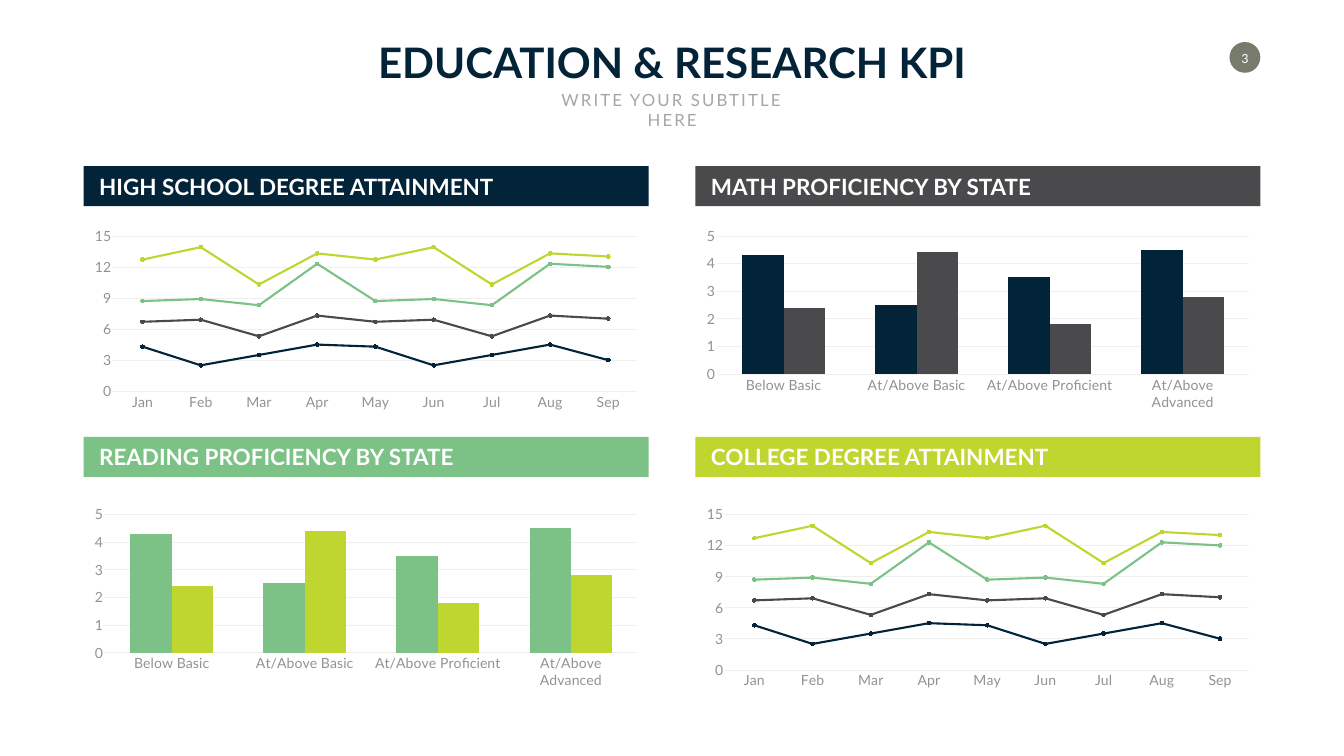
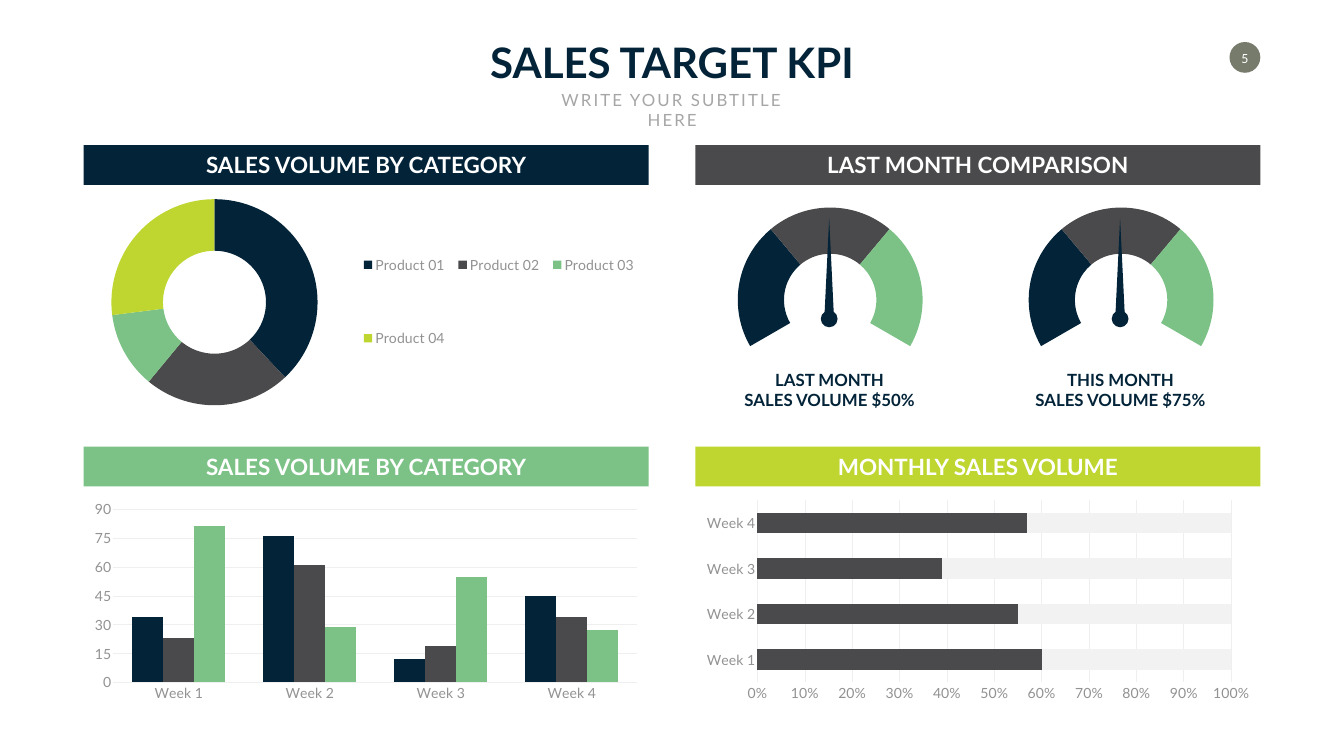
from dataclasses import dataclass

from lxml.etree import SubElement
from pptx import Presentation
from pptx.chart.data import CategoryChartData
from pptx.dml.color import RGBColor
from pptx.enum.chart import (XL_CHART_TYPE, XL_LEGEND_POSITION,
                             XL_MARKER_STYLE, XL_TICK_MARK)
from pptx.enum.shapes import MSO_SHAPE
from pptx.enum.text import MSO_ANCHOR, MSO_AUTO_SIZE, PP_ALIGN
from pptx.oxml.ns import qn
from pptx.util import Pt


@dataclass(frozen=True)
class Theme:
    navy: str = "022338"
    gray: str = "4A4A4C"
    green: str = "7CC287"
    lime: str = "BED62F"
    badge: str = "767B6C"
    white: str = "FFFFFF"
    subtitle: str = "A6A6A6"
    axis_text: str = "929294"
    grid: str = "EFEFEF"
    track: str = "F2F2F2"
    font: str = "Lato"
    number_font: str = "Calibri"
    title_size: int = 60
    band_size: int = 32
    body_size: int = 24
    small_size: int = 20

    @property
    def accents(self):
        return self.navy, self.gray, self.green, self.lime


# Grid, in points
WIDTH, HEIGHT = 1919.5, 1080
COLUMNS = (119.5, 993.25)
PANEL_W, BAND_H, LABEL_H = 807, 57, 46


def rgb(color):
    return RGBColor.from_string(color)


def paint(fill, color):
    """Fill with a colour, or leave clear when there is none."""
    if color:
        fill.solid()
        fill.fore_color.rgb = rgb(color)
    else:
        fill.background()


def set_layout(parent, index, x, y, w, h, inner=False):
    """Give a chart's plot area or legend a fixed place, as fractions."""
    for old in parent.findall(qn("c:layout")):
        parent.remove(old)
    layout = SubElement(parent, qn("c:layout"))
    parent.insert(index, layout)
    manual = SubElement(layout, qn("c:manualLayout"))
    settings = [("layoutTarget", "inner")] if inner else []
    settings += [("xMode", "edge"), ("yMode", "edge"),
                 ("x", x), ("y", y), ("w", w), ("h", h)]
    for tag, value in settings:
        SubElement(manual, qn(f"c:{tag}")).set("val", str(value))


class Deck:
    def __init__(self, theme):
        self.theme = theme
        self.prs = Presentation()
        self.prs.slide_width, self.prs.slide_height = Pt(WIDTH), Pt(HEIGHT)
        self.s = None

    # Basic elements
    def text(self, text, x, y, w, h, *, size, color, font=None, bold=False,
             align=PP_ALIGN.CENTER, anchor=MSO_ANCHOR.TOP, wrap=False,
             spacing=None, margin=None):
        tf = self.s.shapes.add_textbox(Pt(x), Pt(y), Pt(w), Pt(h)).text_frame
        tf.word_wrap = wrap
        tf.auto_size = MSO_AUTO_SIZE.SHAPE_TO_FIT_TEXT
        tf.vertical_anchor = anchor
        if margin is not None:
            tf.margin_left = tf.margin_right = Pt(margin)
            tf.margin_top = tf.margin_bottom = Pt(margin)
        for i, line in enumerate(text.split("\n")):
            p = tf.paragraphs[0] if i == 0 else tf.add_paragraph()
            p.alignment = align
            r = p.add_run()
            r.text = line
            r.font.name = font or self.theme.font
            r.font.size = Pt(size)
            r.font.bold = bold
            r.font.color.rgb = rgb(color)
            if spacing:
                r.font._element.set("spc", str(spacing * 100))

    def shape(self, kind, x, y, w, h, color, parent=None):
        shapes = (parent or self.s).shapes
        sp = shapes.add_shape(kind, Pt(x), Pt(y), Pt(w), Pt(h))
        sp.shadow.inherit = False
        paint(sp.fill, color)
        sp.line.fill.background()

    # Slide frame: title, subtitle, number badge
    def slide(self, title, title_w, number):
        t = self.theme
        self.s = self.prs.slides.add_slide(self.prs.slide_layouts[6])
        self.shape(MSO_SHAPE.OVAL, 1756, 60, 44, 44, t.badge)
        self.text(number, 1763.25, 70, 29.5, 24.5, size=t.small_size,
                  color=t.white, font=t.number_font,
                  anchor=MSO_ANCHOR.MIDDLE, margin=0)
        self.text(title, (WIDTH - title_w) / 2, 48, title_w, 80,
                  size=t.title_size, color=t.navy, bold=True)
        self.text("WRITE YOUR SUBTITLE HERE", 764.5, 124, 391, 36,
                  size=t.body_size, color=t.subtitle, wrap=True, spacing=3)

    def bands(self, tops, labels, align):
        """Four coloured headings, row by row; labels are (text, width)."""
        t = self.theme
        for i, (label, w) in enumerate(labels):
            x, y = COLUMNS[i % 2], tops[i // 2]
            self.shape(MSO_SHAPE.RECTANGLE, x, y, PANEL_W, BAND_H,
                       t.accents[i])
            inset = 15 if align == PP_ALIGN.LEFT else (PANEL_W - w) / 2
            self.text(label, x + inset, y + (BAND_H - LABEL_H) / 2, w,
                      LABEL_H, size=t.band_size, color=t.white, bold=True,
                      align=align, anchor=MSO_ANCHOR.MIDDLE)

    # Charts
    def chart(self, kind, x, y, w, h, cats, rows):
        t = self.theme
        data = CategoryChartData()
        data.categories = cats
        for i, values in enumerate(rows, 1):
            data.add_series(f"Series {i}", values)
        chart = self.s.shapes.add_chart(kind, Pt(x), Pt(y), Pt(w), Pt(h),
                                        data).chart
        chart.has_title = chart.has_legend = False
        chart.font.name = t.font
        chart.font.size = Pt(t.small_size)
        chart.font.color.rgb = rgb(t.axis_text)
        return chart

    def axis_chart(self, kind, x, y, h, cats, rows, colors, major=None):
        t = self.theme
        chart = self.chart(kind, x, y, PANEL_W, h, cats, rows)
        cat, val = chart.category_axis, chart.value_axis
        for axis in (cat, val):
            axis.major_tick_mark = axis.minor_tick_mark = XL_TICK_MARK.NONE
            axis.tick_labels.font.name = t.font
            axis.tick_labels.font.size = Pt(t.small_size)
            axis.tick_labels.font.color.rgb = rgb(t.axis_text)
        cat.has_major_gridlines = False
        val.has_major_gridlines = True
        for line in (cat.format.line, val.major_gridlines.format.line):
            line.color.rgb = rgb(t.grid)
            line.width = Pt(0.75)
        val.format.line.fill.background()
        if major:
            val.major_unit = major
        for series, color in zip(chart.plots[0].series, colors):
            self.style_series(series, color,
                              kind == XL_CHART_TYPE.LINE_MARKERS_STACKED)
        chart.plots[0].vary_by_categories = False
        return chart

    def style_series(self, series, color, is_line):
        if not is_line:
            paint(series.format.fill, color)
            return
        series.smooth = False
        series.format.line.color.rgb = rgb(color)
        series.format.line.width = Pt(3)
        series.marker.style = XL_MARKER_STYLE.CIRCLE
        series.marker.size = 5
        paint(series.marker.format.fill, color)
        series.marker.format.line.color.rgb = rgb(color)

    def lines(self, *args):
        self.axis_chart(XL_CHART_TYPE.LINE_MARKERS_STACKED, *args,
                        self.theme.accents, major=3)

    def columns(self, *args, major=None):
        chart = self.axis_chart(XL_CHART_TYPE.COLUMN_CLUSTERED, *args,
                                major=major)
        chart.plots[0].gap_width = 122

    def shares(self, *args):
        chart = self.axis_chart(XL_CHART_TYPE.BAR_STACKED_100, *args)
        chart.plots[0].gap_width, chart.plots[0].overlap = 122, 100
        labels = chart.value_axis.tick_labels
        labels.number_format, labels.number_format_is_linked = "0%", False

    def doughnut(self, x, y, w, h, cats, values, colors, plot, start=0):
        chart = self.chart(XL_CHART_TYPE.DOUGHNUT, x, y, w, h, cats, [values])
        area = chart._chartSpace.chart.plotArea
        set_layout(area, 0, *plot, inner=True)
        area.find(".//" + qn("c:firstSliceAng")).set("val", str(start))
        area.find(".//" + qn("c:holeSize")).set("val", "50")
        for i, color in enumerate(colors):
            fmt = chart.plots[0].series[0].points[i].format
            paint(fmt.fill, color)
            fmt.line.fill.background()
        return chart

    def gauge(self, x, caption):
        t = self.theme
        self.doughnut(x, 296.5, 330, 264, ["1", "2", "3", "4"],
                      [22, 22, 22, 33], [t.navy, t.gray, t.green, None],
                      (0.09, 0, 0.8, 1), start=240)
        needle = self.s.shapes.add_group_shape()
        self.shape(MSO_SHAPE.ISOSCELES_TRIANGLE, x + 153.5, 312, 13.5, 139.5,
                   t.navy, needle)
        self.shape(MSO_SHAPE.OVAL, x + 148.25, 443.5, 24, 24, t.navy, needle)
        self.text(caption, x + 7, 525, 307.5, 65.5, size=t.body_size,
                  color=t.navy, bold=True, wrap=True)


MONTHS = ["Jan", "Feb", "Mar", "Apr", "May", "Jun", "Jul", "Aug", "Sep"]
ATTAINMENT = [
    [4.3, 2.5, 3.5, 4.5, 4.3, 2.5, 3.5, 4.5, 3],
    [2.4, 4.4, 1.8, 2.8, 2.4, 4.4, 1.8, 2.8, 4],
    [2, 2, 3, 5, 2, 2, 3, 5, 5],
    [4, 5, 2, 1, 4, 5, 2, 1, 1],
]
LEVELS = ["Below Basic", "At/Above Basic", "At/Above Proficient",
          "At/Above Advanced"]
PROFICIENCY = [[4.3, 2.5, 3.5, 4.5], [2.4, 4.4, 1.8, 2.8]]
WEEKS = [f"Week {i}" for i in range(1, 5)]
PRODUCTS = [f"Product {i:02}" for i in range(1, 5)]


def education_slide(deck):
    t = deck.theme
    left, right = COLUMNS
    upper, lower, h = 319, 717, 273
    deck.slide("EDUCATION & RESEARCH KPI", 874, "3")
    deck.bands((237.5, 624.25),
               [("HIGH SCHOOL DEGREE ATTAINMENT", 582.5),
                ("MATH PROFICIENCY BY STATE", 489.5),
                ("READING PROFICIENCY BY STATE", 538),
                ("COLLEGE DEGREE ATTAINMENT", 500.5)], PP_ALIGN.LEFT)
    deck.lines(left, upper, h, MONTHS, ATTAINMENT)
    deck.lines(right, lower, h, MONTHS, ATTAINMENT)
    deck.columns(right, upper, h, LEVELS, PROFICIENCY, (t.navy, t.gray))
    deck.columns(left, lower, h, LEVELS, PROFICIENCY, (t.green, t.lime))


def sales_slide(deck):
    t = deck.theme
    left, right = COLUMNS
    upper, lower, h = 279.5, 709, 299.5
    deck.slide("SALES TARGET KPI", 554.5, "5")
    deck.bands((207.25, 638),
               [("SALES VOLUME BY CATEGORY", 486),
                ("LAST MONTH COMPARISON", 452),
                ("SALES VOLUME BY CATEGORY", 486),
                ("MONTHLY SALES VOLUME", 417.5)], PP_ALIGN.CENTER)

    # Product split with its legend
    chart = deck.doughnut(left, upper, PANEL_W, h, PRODUCTS,
                          [38, 23, 12, 27], t.accents,
                          (0.044, 0.017, 0.375, 0.983))
    chart.has_legend = True
    legend = chart.legend
    legend.position = XL_LEGEND_POSITION.RIGHT
    legend.include_in_layout = False
    legend.font.name = t.font
    legend.font.size = Pt(t.small_size)
    legend.font.color.rgb = rgb(t.axis_text)
    set_layout(legend._element, 1, 0.48, 0.02, 0.51, 0.97)

    # Weekly charts
    deck.shares(right, lower, h, WEEKS,
                [[60, 55, 39, 57], [40, 45, 61, 43]], (t.gray, t.track))
    deck.columns(left, lower, h, WEEKS,
                 [[34, 76, 12, 45], [23, 61, 19, 34], [81, 29, 55, 27]],
                 t.accents[:3], major=15)

    # Gauges
    for i, caption in enumerate(("LAST MONTH\nSALES VOLUME $50%",
                                 "THIS MONTH\nSALES VOLUME $75%")):
        deck.gauge(1024 + i * 415.5, caption)


def main():
    deck = Deck(Theme())
    education_slide(deck)
    sales_slide(deck)
    deck.prs.save("out.pptx")


if __name__ == "__main__":
    main()
